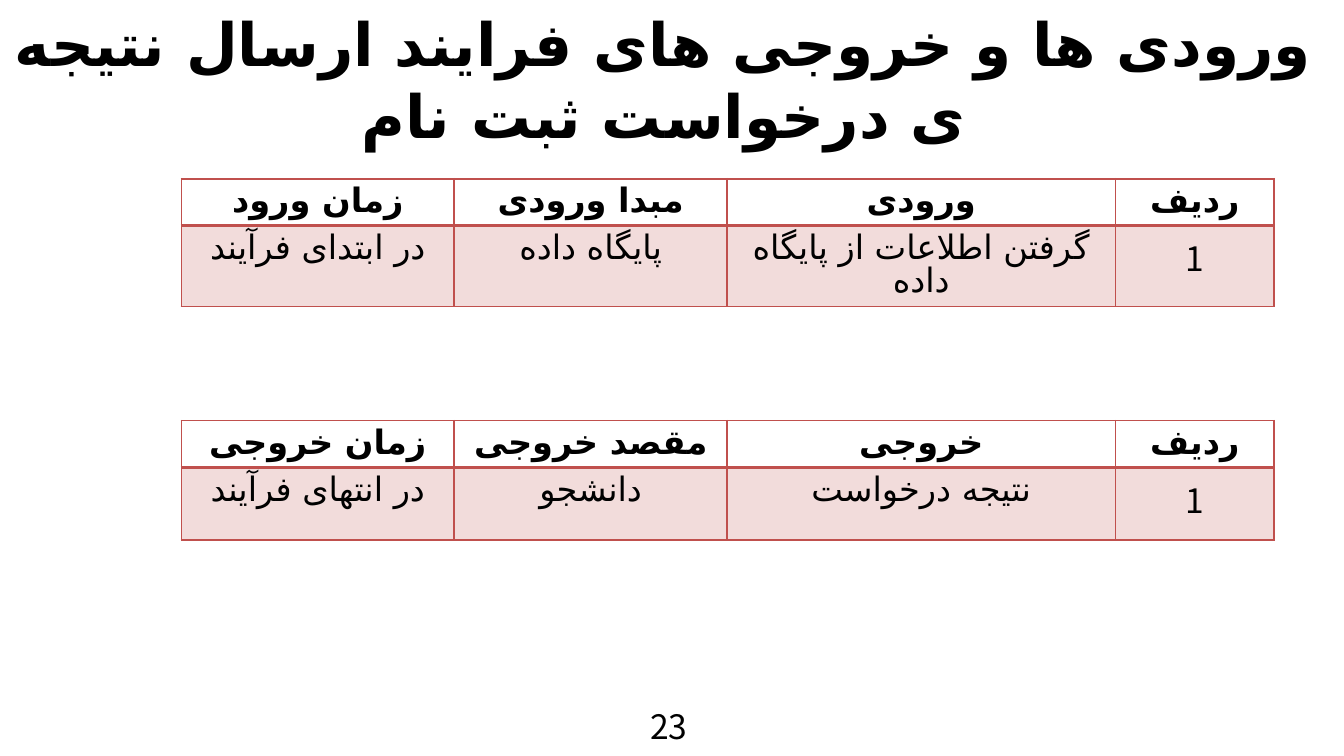
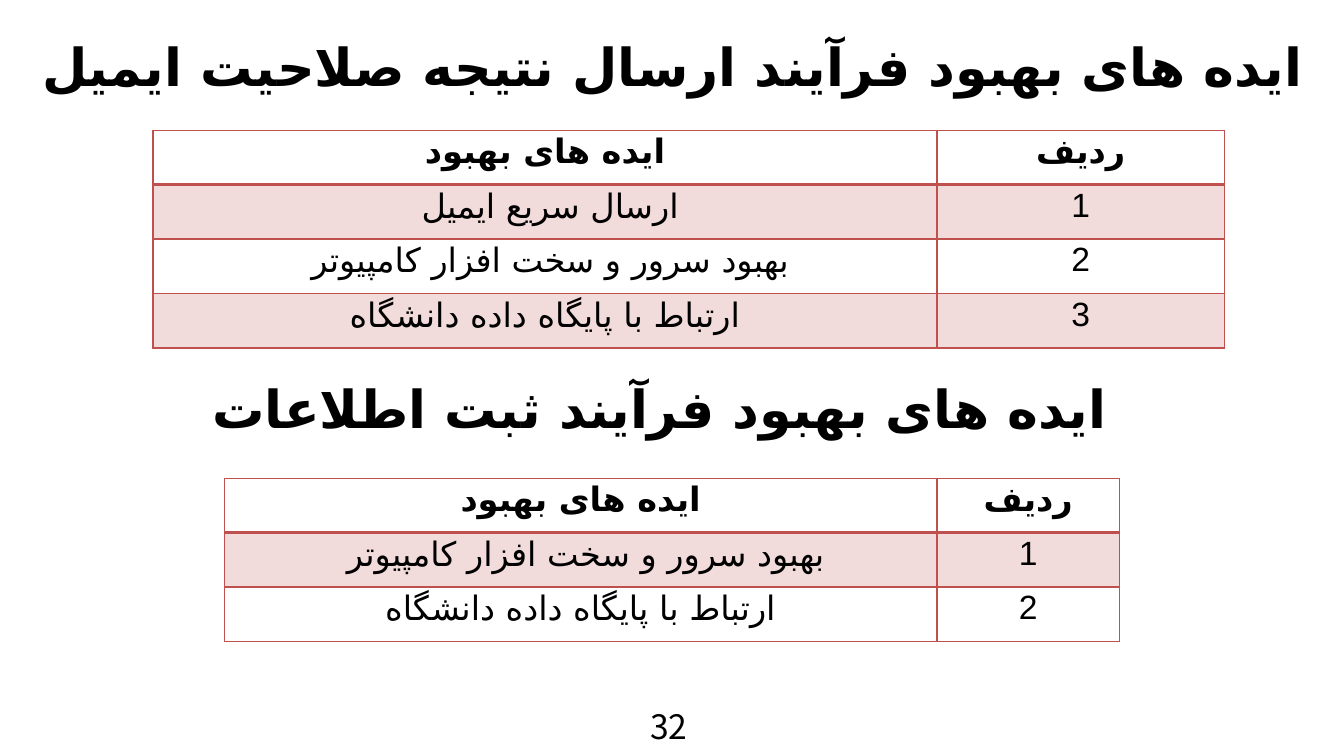
from dataclasses import dataclass

import pptx
import pptx.dml.color
import pptx.enum.text
import pptx.oxml
import pptx.oxml.ns
import pptx.util
from pptx.util import Inches

COLORS = {"text": "000000", "accent": "C0504D", "background": "FFFFFF"}
TITLE_FONT = "Calibri"
BODY_FONT = "Noto Sans CJK KR"
ARABIC_FONT = "DejaVu Sans"
DIGIT_FONT = "Arial"
BODY_SIZE = 18
ARABIC_SPACING = 0.86
TINT_ALPHA = 20

CENTER = pptx.enum.text.PP_ALIGN.CENTER
LEFT = pptx.enum.text.PP_ALIGN.LEFT
MIDDLE = pptx.enum.text.MSO_ANCHOR.MIDDLE
TOP = pptx.enum.text.MSO_ANCHOR.TOP


@dataclass(frozen=True)
class Box:
    left: float
    top: float
    width: float
    height: float


@dataclass(frozen=True)
class Heading:
    text: str
    box: Box
    size: int
    rtl: bool = False


@dataclass(frozen=True)
class Grid:
    left: float
    top: float
    cols: tuple[float, ...]
    row_heights: tuple[float, ...]
    rows: tuple[tuple[str, ...], ...]
    all_rtl: bool = False


@dataclass(frozen=True)
class Page:
    title: Heading
    grids: tuple[Grid, ...]
    number: str
    subheads: tuple[Heading, ...] = ()


# Content
FLOW_COLS = (2.03, 2.03, 2.89, 1.18)
FLOW_HEIGHTS = (0.31, 0.54)
IDEA_HEIGHT = 1.62 / 4
IDEA_HEADER = ("ایده های بهبود", "ردیف")
NUMBER_BOX = Box(4.74, 5.2, 0.51, 0.34)


def idea_grid(left: float, top: float, cols: tuple[float, ...], ideas: list[str]) -> Grid:
    """Numbered list of ideas under the shared header."""
    rows = (IDEA_HEADER, *((idea, str(i)) for i, idea in enumerate(ideas, 1)))
    return Grid(left, top, cols, (IDEA_HEIGHT,) * len(rows), rows, all_rtl=True)


PAGES = (
    Page(
        Heading("ورودی ها و خروجی های فرایند ارسال نتیجه ی درخواست ثبت نام",
                Box(0, 0.21, 9.88, 0.75), 32),
        (
            Grid(1.35, 1.33, FLOW_COLS, FLOW_HEIGHTS, (
                ("زمان ورود", "مبدا ورودی", "ورودی", "ردیف"),
                ("در ابتدای فرآیند", "پایگاه داده", "گرفتن اطلاعات از پایگاه داده", "1"),
            )),
            Grid(1.35, 3.13, FLOW_COLS, FLOW_HEIGHTS, (
                ("زمان خروجی", "مقصد خروجی", "خروجی", "ردیف"),
                ("در انتهای فرآیند", "دانشجو", "نتیجه درخواست", "1"),
            )),
        ),
        "23",
    ),
    Page(
        Heading("ایده های بهبود فرآیند ارسال نتیجه صلاحیت ایمیل",
                Box(0, 0, 10, 0.97), 28, rtl=True),
        (
            idea_grid(1.14, 0.97, (5.83, 2.14), [
                "ارسال سریع ایمیل ",
                "بهبود سرور و سخت افزار کامپیوتر ",
                "ارتباط با پایگاه داده دانشگاه",
            ]),
            idea_grid(1.67, 3.56, (5.3, 1.36), [
                "بهبود سرور و سخت افزار کامپیوتر ",
                "ارتباط با پایگاه داده دانشگاه",
            ]),
        ),
        "32",
        (Heading("ایده های بهبود فرآیند ثبت اطلاعات", Box(1.03, 2.28, 7.75, 1.51), 28),),
    ),
)


# Text
def rgb(name: str) -> pptx.dml.color.RGBColor:
    return pptx.dml.color.RGBColor.from_string(COLORS[name])


def add_element(parent, tag: str, **attrs: str):
    el = parent.makeelement(pptx.oxml.ns.qn(tag), attrs)
    parent.append(el)
    return el


def write(tf, text: str, size: int, font: str,
          bold: bool = False, align=CENTER, rtl: bool = False):
    """Fill a text frame with one paragraph and return it."""
    p = tf.paragraphs[0]
    p.text = text
    p.alignment = align
    if rtl:
        p._p.get_or_add_pPr().set("rtl", "1")
    cs_font = DIGIT_FONT if text.isdigit() else ARABIC_FONT
    for r in p.runs:
        r.font.size = pptx.util.Pt(size)
        r.font.bold = bold
        r.font.color.rgb = rgb("text")
        r.font.name = font
        add_element(r.font._element, "a:cs", typeface=cs_font)
    return p


def place(sp, box: Box) -> None:
    sp.left, sp.top = Inches(box.left), Inches(box.top)
    sp.width, sp.height = Inches(box.width), Inches(box.height)


def add_text_box(s, box: Box):
    return s.shapes.add_textbox(Inches(box.left), Inches(box.top),
                                Inches(box.width), Inches(box.height))


def format_heading(sp, heading: Heading) -> None:
    place(sp, heading.box)
    tf = sp.text_frame
    tf.word_wrap = True
    tf.auto_size = pptx.enum.text.MSO_AUTO_SIZE.NONE
    tf.vertical_anchor = MIDDLE
    write(tf, heading.text, heading.size, TITLE_FONT, bold=True, rtl=heading.rtl)


def add_page_number(s, number: str) -> None:
    tf = add_text_box(s, NUMBER_BOX).text_frame
    tf.word_wrap = True
    write(tf, number, BODY_SIZE, BODY_FONT, align=LEFT)


# Tables
def set_borders(cell, row: int) -> None:
    """Thin lines all round, with a thick one under the header."""
    tcPr = cell._tc.get_or_add_tcPr()
    widths = {"L": 1, "R": 1, "T": 2 if row == 1 else 1, "B": 2 if row == 0 else 1}
    for side, width in widths.items():
        ln = add_element(tcPr, f"a:ln{side}", w=str(pptx.util.Pt(width)))
        fill = add_element(ln, "a:solidFill")
        add_element(fill, "a:srgbClr", val=COLORS["accent"])


def set_band(cell, row: int) -> None:
    """Tint every odd row."""
    if row % 2 == 0:
        cell.fill.background()
        return
    cell.fill.solid()
    cell.fill.fore_color.rgb = rgb("accent")
    clr = cell._tc.tcPr.find(pptx.oxml.ns.qn("a:solidFill"))[0]
    add_element(clr, "a:alpha", val=str(TINT_ALPHA * 1000))


def add_grid(s, grid: Grid) -> None:
    frame = s.shapes.add_table(len(grid.rows), len(grid.cols),
                               Inches(grid.left), Inches(grid.top),
                               Inches(sum(grid.cols)), Inches(sum(grid.row_heights)))
    table = frame.table
    table.first_row = False
    table.horz_banding = False
    for col, width in zip(table.columns, grid.cols):
        col.width = Inches(width)
    for i, (height, texts) in enumerate(zip(grid.row_heights, grid.rows)):
        table.rows[i].height = Inches(height)
        for j, text in enumerate(texts):
            cell = table.cell(i, j)
            cell.vertical_anchor = TOP
            set_borders(cell, i)
            set_band(cell, i)
            is_number = text.isdigit()
            rtl = grid.all_rtl or (i > 0 and not is_number)
            p = write(cell.text_frame, text, BODY_SIZE, BODY_FONT, bold=i == 0, rtl=rtl)
            if rtl or not is_number:
                p.line_spacing = ARABIC_SPACING


# Slides
def add_page(prs, page: Page) -> None:
    s = prs.slides.add_slide(prs.slide_layouts[5])
    s.background.fill.solid()
    s.background.fill.fore_color.rgb = rgb("background")
    format_heading(s.shapes.title, page.title)
    for subhead in page.subheads:
        format_heading(add_text_box(s, subhead.box), subhead)
    for grid in page.grids:
        add_grid(s, grid)
    add_page_number(s, page.number)


def main() -> None:
    prs = pptx.Presentation()
    prs.slide_width = Inches(10)
    prs.slide_height = prs.slide_width * 9 // 16
    for page in PAGES:
        add_page(prs, page)
    prs.save("out.pptx")


if __name__ == "__main__":
    main()
